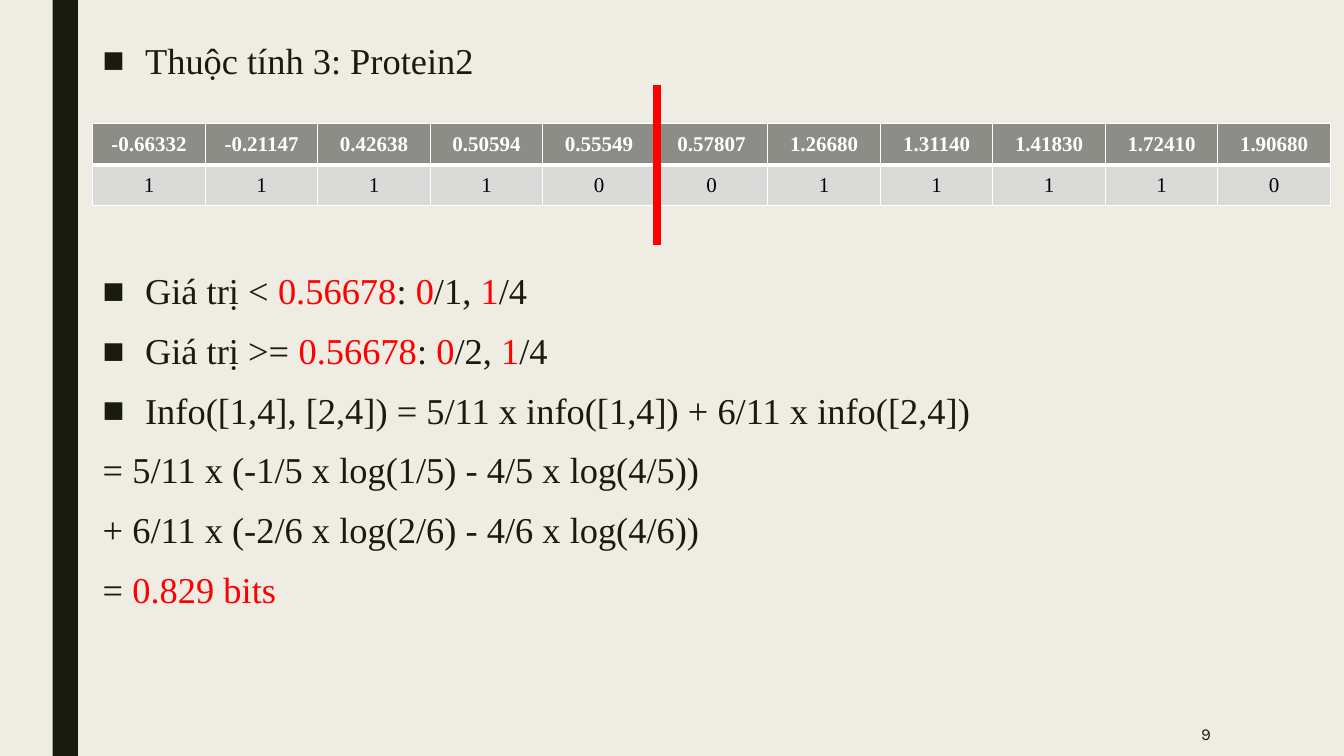
from dataclasses import dataclass

from lxml.etree import SubElement
from pptx import Presentation
from pptx.dml.color import RGBColor
from pptx.enum.shapes import MSO_CONNECTOR, MSO_SHAPE
from pptx.enum.text import MSO_ANCHOR, PP_ALIGN
from pptx.oxml.ns import qn
from pptx.slide import Slide
from pptx.util import Pt

CREAM = RGBColor(0xEF, 0xED, 0xE3)
INK = RGBColor(0x19, 0x1B, 0x0E)
RED = RGBColor(0xFF, 0x00, 0x00)
WHITE = RGBColor(0xFF, 0xFF, 0xFF)
BLACK = RGBColor(0x00, 0x00, 0x00)
HEADER_GREY = RGBColor(0x8C, 0x8D, 0x86)
ROW_GREY = RGBColor(0xDA, 0xDB, 0xD9)
SERIF = "Times New Roman"
LEFT, WIDTH = 66.3, 884.2


@dataclass
class Line:
    """Text pieces alternate between ink and red, starting with ink."""
    pieces: list[str]
    bullet: bool = False


@dataclass
class TextBlock:
    top: float
    height: float
    lines: list[Line]


@dataclass
class RowStyle:
    values: list[str]
    fill: RGBColor
    color: RGBColor
    bold: bool
    bottom: float


BLOCKS = [
    TextBlock(25.9, 36, [Line(["Thuộc tính 3: Protein2"], True)]),
    TextBlock(190.7, 295, [
        Line(["Giá trị < ", "0.56678", ": ", "0", "/1, ", "1", "/4"], True),
        Line(["Giá trị >= ", "0.56678", ": ", "0", "/2, ", "1", "/4"], True),
        Line(["Info([1,4], [2,4]) = 5/11 x info([1,4]) + 6/11 x info([2,4])"], True),
        Line(["= 5/11 x (-1/5 x log(1/5) - 4/5 x log(4/5))"]),
        Line(["+ 6/11 x (-2/6 x log(2/6) - 4/6 x log(4/6))"]),
        Line(["= ", "0.829 bits"]),
    ]),
]
ROWS = [
    RowStyle(["-0.66332", "-0.21147", "0.42638", "0.50594", "0.55549", "0.57807",
              "1.26680", "1.31140", "1.41830", "1.72410", "1.90680"],
             HEADER_GREY, WHITE, True, 3),
    RowStyle(list("11110011110"), ROW_GREY, BLACK, False, 1),
]


def add_run(p, text: str, size: float, color: RGBColor, name: str = SERIF, bold: bool = False) -> None:
    r = p.add_run()
    r.text = text
    for key, value in {"size": Pt(size), "name": name, "bold": bold}.items():
        setattr(r.font, key, value)
    r.font.color.rgb = color


def add_bullet(p) -> None:
    pPr = p._p.get_or_add_pPr()
    pPr.set("marL", str(Pt(30.24)))
    pPr.set("indent", str(-Pt(30.24)))
    SubElement(pPr, qn("a:buFont"), typeface=SERIF)
    SubElement(pPr, qn("a:buChar"), char="■")


def add_block(s: Slide, block: TextBlock) -> None:
    sp = s.shapes.add_textbox(Pt(LEFT), Pt(block.top), Pt(WIDTH), Pt(block.height))
    tf = sp.text_frame
    tf.word_wrap = True
    for i, line in enumerate(block.lines):
        p = tf.add_paragraph() if i else tf.paragraphs[0]
        spacing = {"line_spacing": 0.94, "space_before": Pt(11.3 if i else 0), "space_after": Pt(2)}
        for key, value in spacing.items():
            setattr(p, key, value)
        if line.bullet:
            add_bullet(p)
        for j, text in enumerate(line.pieces):
            add_run(p, text, 26, RED if j % 2 else INK)


def set_borders(cell, widths: dict[str, float]) -> None:
    tcPr = cell._tc.get_or_add_tcPr()
    for i, (side, width) in enumerate(widths.items()):
        ln = tcPr.makeelement(qn(f"a:ln{side}"), {"w": str(Pt(width))})
        fill = SubElement(ln, qn("a:solidFill"))
        SubElement(fill, qn("a:srgbClr"), val=str(WHITE))
        tcPr.insert(i, ln)


def add_values_table(s: Slide) -> None:
    columns = len(ROWS[0].values)
    table = s.shapes.add_table(len(ROWS), columns, Pt(LEFT), Pt(88.5), Pt(WIDTH), Pt(58.4)).table
    for column in table.columns:
        column.width = Pt(WIDTH / columns)
    for i, row in enumerate(ROWS):
        for j, value in enumerate(row.values):
            cell = table.cell(i, j)
            cell.fill.solid()
            cell.fill.fore_color.rgb = row.fill
            cell.vertical_anchor = MSO_ANCHOR.MIDDLE
            p = cell.text_frame.paragraphs[0]
            p.alignment = PP_ALIGN.CENTER
            add_run(p, value, 15, row.color, bold=row.bold)
            top = ROWS[i - 1].bottom if i else 1
            set_borders(cell, {"L": 1, "R": 1, "T": top, "B": row.bottom})


def add_split_line(s: Slide) -> None:
    line = s.shapes.add_connector(MSO_CONNECTOR.STRAIGHT, Pt(469.5), Pt(60.5), Pt(469.5), Pt(175))
    line.line.color.rgb = RED
    line.line.width = Pt(6)
    SubElement(line._element.spPr, qn("a:effectLst"))


def add_side_bar(s: Slide) -> None:
    bar = s.shapes.add_shape(MSO_SHAPE.RECTANGLE, Pt(37.6), Pt(0), Pt(18), Pt(540))
    bar.shadow.inherit = False
    bar.fill.solid()
    bar.fill.fore_color.rgb = INK
    bar.line.fill.background()


def add_page_number(s: Slide) -> None:
    tf = s.shapes.add_textbox(Pt(746), Pt(508.4), Pt(126), Pt(31.6)).text_frame
    tf.word_wrap = True
    tf.vertical_anchor = MSO_ANCHOR.MIDDLE
    p = tf.paragraphs[0]
    p.alignment = PP_ALIGN.RIGHT
    add_run(p, "9", 12, INK, "Karla")


def main() -> None:
    prs = Presentation()
    prs.slide_width, prs.slide_height = Pt(960), Pt(540)
    s = prs.slides.add_slide(prs.slide_layouts[6])
    s.background.fill.solid()
    s.background.fill.fore_color.rgb = CREAM
    add_side_bar(s)
    for block in BLOCKS:
        add_block(s, block)
    add_values_table(s)
    add_split_line(s)
    add_page_number(s)
    prs.save("out.pptx")


if __name__ == "__main__":
    main()
